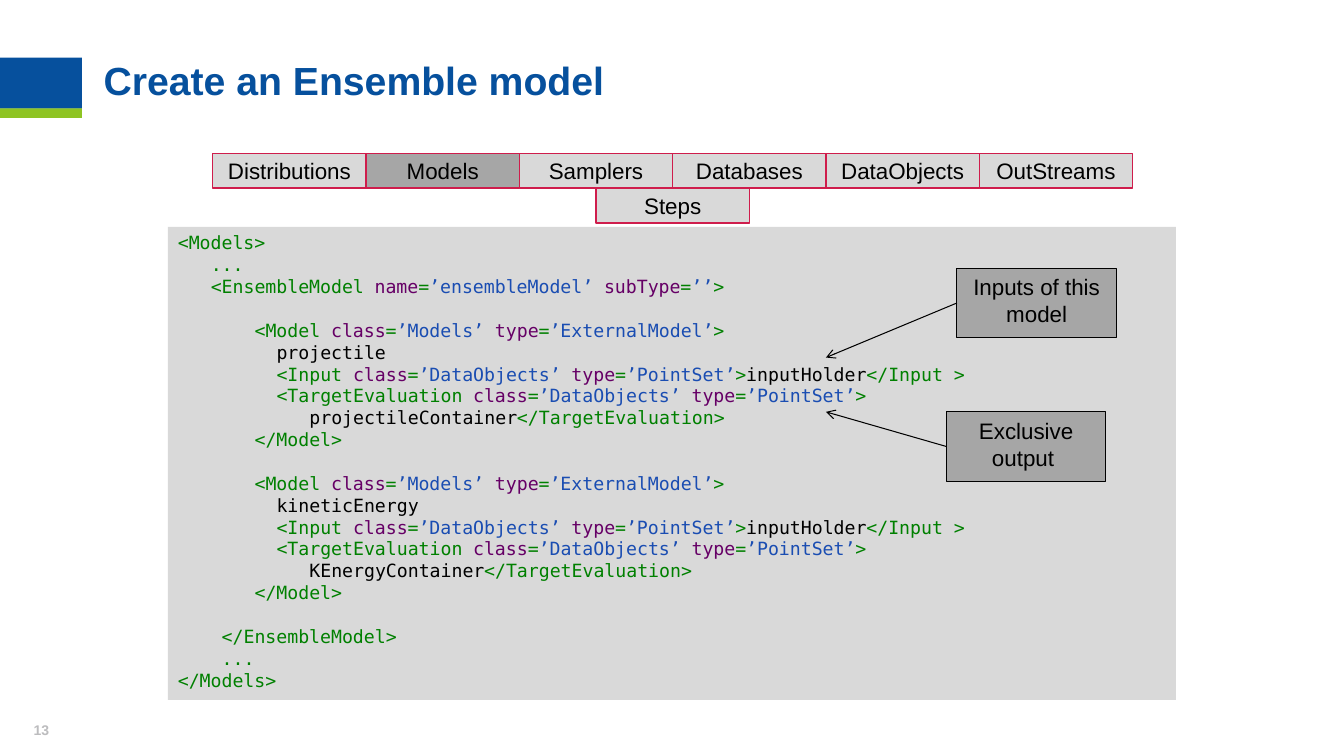
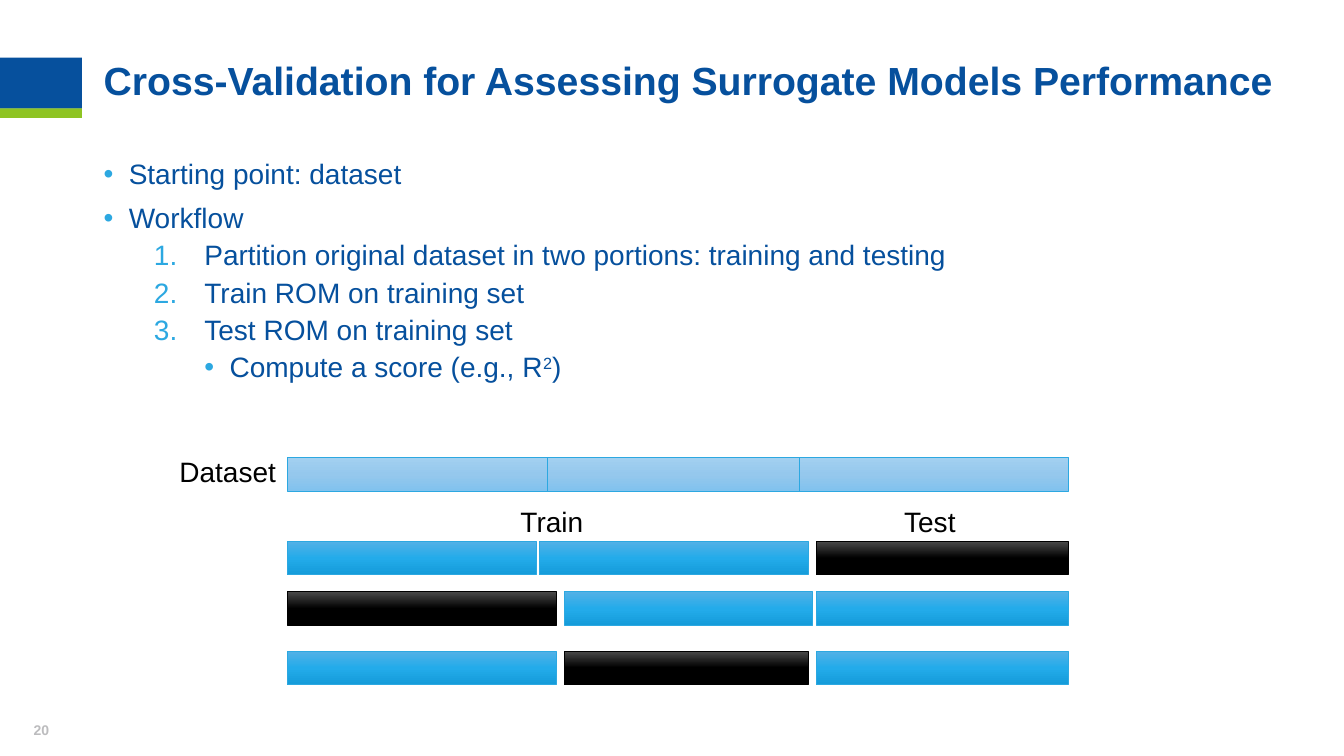
import itertools

import pptx
import pptx.dml.color
import pptx.enum.shapes
import pptx.enum.text
import pptx.oxml
import pptx.oxml.ns
import pptx.util

Pt = pptx.util.Pt
ALIGN = pptx.enum.text.PP_ALIGN
ANCHOR = pptx.enum.text.MSO_ANCHOR
RECT = pptx.enum.shapes.MSO_SHAPE.RECTANGLE

# Shared look
FONT, CODE_FONT = "Arial", "DejaVu Sans Mono"
BLUE, GREEN, SKY = "06509D", "8EC423", "2CA8E1"
BLACK, LIGHT, MID, PALE, CRIMSON = "000000", "D9D9D9", "A6A6A6", "BCBCBE", "CF1D4C"
SYNTAX = {"tag": "008000", "attr": "660066", "value": "1A4DB2", "text": BLACK}
INSETS = (7.2, 3.6, 7.2, 3.6)
PLACEHOLDER_INSETS = (0, 0, 7.2, 3.6)

CODE_SIZE, CHAR_WIDTH, CODE_LINE = 13, 7.83, 15.6
TABS = ["Distributions", "Models", "Samplers", "Databases", "DataObjects", "OutStreams"]


def model_lines(name, container):
    return [
        (7, "<Model class=’Models’ type=’ExternalModel’>", True),
        (9, name, False),
        (9, "<Input class=’DataObjects’ type=’PointSet’>inputHolder</Input >", False),
        (9, "<TargetEvaluation class=’DataObjects’ type=’PointSet’>", False),
        (12, container + "</TargetEvaluation>", False),
        (7, "</Model>", False),
    ]


# Code lines: indent in characters, text, gap above
CODE = [
    (0, "<Models>", False),
    (3, "...", False),
    (3, "<EnsembleModel name=’ensembleModel’ subType=’’>", False),
    *model_lines("projectile", "projectileContainer"),
    *model_lines("kineticEnergy", "KEnergyContainer"),
    (4, "</EnsembleModel>", True),
    (4, "...", False),
    (0, "</Models>", False),
]

# Outline: text, left margin, hanging indent, space before, bullet
BULLET = '<a:buChar %s char="•"/>'
NUMBER = '<a:buAutoNum %s type="arabicPeriod"/>'
OUTLINE = [
    ("Starting point: dataset", 18, 18, 10, BULLET),
    ("Workflow", 18, 18, 10, BULLET),
    ("Partition original dataset in two portions: training and testing", 72, 36, 5, NUMBER),
    ("Train ROM on training set", 72, 36, 5, NUMBER),
    ("Test ROM on training set", 72, 36, 5, NUMBER),
    ("Compute a score (e.g., R", 90, 18, 5, BULLET),
]

# Bars: gradient colours and outline
BARS = {
    "data": (("A3D0F0", "95C8ED", "81C2EE"), SKY),
    "train": (("54B1E6", "23ABEA", "159CDA"), SKY),
    "test": (("4B4B4B", BLACK, BLACK), BLACK),
}
# Rows: offset from the top, then (kind, left, width) of each bar
FOLDS = [
    (0, [("data", 0, 185.8), ("data", 185.8, 180), ("data", 365.8, 192.2)]),
    (59.8, [("train", 0, 177.8), ("train", 180, 192.2), ("test", 378, 180)]),
    (95.8, [("test", 0, 192.2), ("train", 198, 177.1), ("train", 378, 180)]),
    (138.2, [("train", 0, 192.2), ("test", 198, 174.2), ("train", 378, 180)]),
]


def rgb(value):
    return pptx.dml.color.RGBColor.from_string(value)


def xml(text):
    return pptx.oxml.parse_xml(text.replace("%s", pptx.oxml.ns.nsdecls("a")))


def format_font(font, size, color, name=FONT, bold=False):
    font.size, font.name, font.bold = Pt(size), name, bold
    font.color.rgb = rgb(color)


def format_frame(tf, insets=INSETS, anchor=ANCHOR.TOP):
    tf.word_wrap = True
    tf.auto_size = pptx.enum.text.MSO_AUTO_SIZE.NONE
    tf.vertical_anchor = anchor
    tf.margin_left, tf.margin_top, tf.margin_right, tf.margin_bottom = map(Pt, insets)


def set_text(tf, text, size, color, align=ALIGN.LEFT, bold=False):
    tf.text = text
    p = tf.paragraphs[0]
    p.alignment = align
    for r in p.runs:
        format_font(r.font, size, color, bold=bold)
    return p


def add_box(slide, box, fill=None, line=None, width=1):
    sp = slide.shapes.add_shape(RECT, *map(Pt, box))
    sp.shadow.inherit = False
    if fill:
        sp.fill.solid()
        sp.fill.fore_color.rgb = rgb(fill)
    if line:
        sp.line.color.rgb = rgb(line)
        sp.line.width = Pt(width)
    else:
        sp.line.fill.background()
    return sp


def add_label(slide, box, text, size=20, color=BLACK, align=ALIGN.CENTER,
              bold=False, insets=INSETS, anchor=ANCHOR.TOP):
    tf = slide.shapes.add_textbox(*map(Pt, box)).text_frame
    format_frame(tf, insets, anchor)
    set_text(tf, text, size, color, align, bold)


def add_titled_slide(prs, title, number, title_width):
    """Title, side band and page number."""
    slide = prs.slides.add_slide(prs.slide_layouts[5])
    add_box(slide, (0, 41.2, 58.6, 36.4), BLUE)
    add_box(slide, (0, 77.4, 58.6, 6.8), GREEN)
    sp = slide.shapes.title
    sp.left, sp.top, sp.width, sp.height = map(Pt, (74, 44, title_width, 40.3))
    format_frame(sp.text_frame, PLACEHOLDER_INSETS)
    set_text(sp.text_frame, title, 28, BLUE, bold=True).line_spacing = 0.9
    add_label(slide, (12.2, 511.2, 34.6, 28.8), number, 10, PALE, bold=True,
              insets=(7.2, 3.6, 7.2, 12.2), anchor=ANCHOR.MIDDLE)
    return slide


def add_tabs(slide, left, top, width, height):
    """One row of tabs with the last one centred below."""
    w, h = width / len(TABS), height / 2
    places = [(name, left + i * w, top) for i, name in enumerate(TABS)]
    places.append(("Steps", left + (width - w) / 2, top + h))
    for name, x, y in places:
        fill = MID if name == "Models" else LIGHT
        tf = add_box(slide, (x, y, w, h), fill, CRIMSON).text_frame
        format_frame(tf, anchor=ANCHOR.MIDDLE)
        set_text(tf, name, 16, BLACK, ALIGN.CENTER)


def syntax_kinds(line):
    """Yield each character with its syntax kind."""
    if line == "...":
        yield from ((ch, "tag") for ch in line)
        return
    state = "text"
    for ch in line:
        if ch == "<" or (state == "attr" and ch in "=>"):
            state = "tag"
        elif ch == " " and state == "tag":
            state = "attr"
        elif ch == "’" and state == "tag":
            state = "value"
        elif ch == "’":
            yield ch, "value"
            state = "tag"
            continue
        yield ch, state
        if ch == ">":
            state = "text"


def add_code(slide, box):
    """Highlighted listing on a grey panel."""
    tf = add_box(slide, box, LIGHT).text_frame
    format_frame(tf)
    for i, (indent, line, gap) in enumerate(CODE):
        p = tf.add_paragraph() if i else tf.paragraphs[0]
        p.alignment = ALIGN.LEFT
        p.space_before = Pt(CODE_LINE if gap else 0)
        pPr = p._p.get_or_add_pPr()
        pPr.set("marL", str(Pt(indent * CHAR_WIDTH)))
        pPr.set("indent", "0")
        for kind, chars in itertools.groupby(syntax_kinds(line), lambda pair: pair[1]):
            r = p.add_run()
            r.text = "".join(ch for ch, _ in chars)
            format_font(r.font, CODE_SIZE, SYNTAX[kind], CODE_FONT)


def add_callout(slide, box, text, target):
    """Grey note with an arrow from its left side."""
    sp = add_box(slide, box, MID, BLACK, 0.75)
    format_frame(sp.text_frame)
    set_text(sp.text_frame, text, 16, BLACK, ALIGN.CENTER)
    x, y = map(Pt, target)
    line = slide.shapes.add_connector(pptx.enum.shapes.MSO_CONNECTOR.STRAIGHT, x, y, x, y)
    line.begin_connect(sp, 1)
    line.line.color.rgb = rgb(BLACK)
    line.line.width = Pt(0.75)
    line.line._get_or_add_ln().append(xml('<a:tailEnd %s type="arrow"/>'))
    line._element.spPr.append(xml('<a:effectLst %s/>'))


def add_outline(slide, box):
    """Bulleted and numbered text."""
    tf = slide.shapes.add_textbox(*map(Pt, box)).text_frame
    format_frame(tf, PLACEHOLDER_INSETS)
    for i, (text, margin, hanging, before, marker) in enumerate(OUTLINE):
        p = tf.add_paragraph() if i else tf.paragraphs[0]
        p.text = text
        p.line_spacing, p.space_before = 0.9, Pt(before)
        pPr = p._p.get_or_add_pPr()
        pPr.set("marL", str(Pt(margin)))
        pPr.set("indent", str(-Pt(hanging)))
        pPr.append(xml(f'<a:buClr %s><a:srgbClr val="{SKY}"/></a:buClr>'))
        pPr.append(xml('<a:buFont %s typeface="Arial"/>'))
        pPr.append(xml(marker))
    # Superscript and closing bracket of the last line
    power, bracket = p.add_run(), p.add_run()
    power.text, bracket.text = "2", ")"
    power.font._element.set("baseline", "30000")
    for p in tf.paragraphs:
        for r in p.runs:
            format_font(r.font, 20, BLUE)


def add_bar(slide, box, kind):
    """Bar with a vertical three-colour gradient."""
    colors, outline = BARS[kind]
    sp = add_box(slide, box, line=outline, width=0.5)
    sp.fill.gradient()
    sp.fill.gradient_angle = 270
    stops = sp._element.spPr.find(".//" + pptx.oxml.ns.qn("a:gsLst"))
    for stop in list(stops):
        stops.remove(stop)
    for i, color in enumerate(colors):
        stops.append(xml(f'<a:gs %s pos="{i * 50000}"><a:srgbClr val="{color}"/></a:gs>'))


def add_folds(slide, left, top):
    """Dataset bar and the three train and test splits below it."""
    for offset, bars in FOLDS:
        for kind, x, width in bars:
            add_bar(slide, (left + x, top + offset, width, 24), kind)
    add_label(slide, (left - 84.2, top - 5.8, 90, 31.7), "Dataset", align=ALIGN.LEFT)
    for text, x in (("Train", 90), ("Test", 360)):
        add_label(slide, (left + x, top + 30.2, 198, 31.7), text)


def main():
    prs = pptx.Presentation()
    prs.slide_width, prs.slide_height = Pt(960), Pt(540)

    slide = add_titled_slide(prs, "Create an Ensemble model", "13", 820)
    add_tabs(slide, 152, 109.6, 657, 49.6)
    add_code(slide, (120, 162, 720, 338))
    add_callout(slide, (683.5, 191.7, 114, 49.5), "Inputs of this model", (590, 255.4))
    add_callout(slide, (676, 294.2, 114, 49.5), "Exclusive output ", (590, 294.2))

    slide = add_titled_slide(
        prs, "Cross-Validation for Assessing Surrogate Models Performance", "20", 849)
    add_outline(slide, (74, 114.5, 820, 184))
    add_folds(slide, 205.2, 326.8)

    prs.save("out.pptx")


if __name__ == "__main__":
    main()
